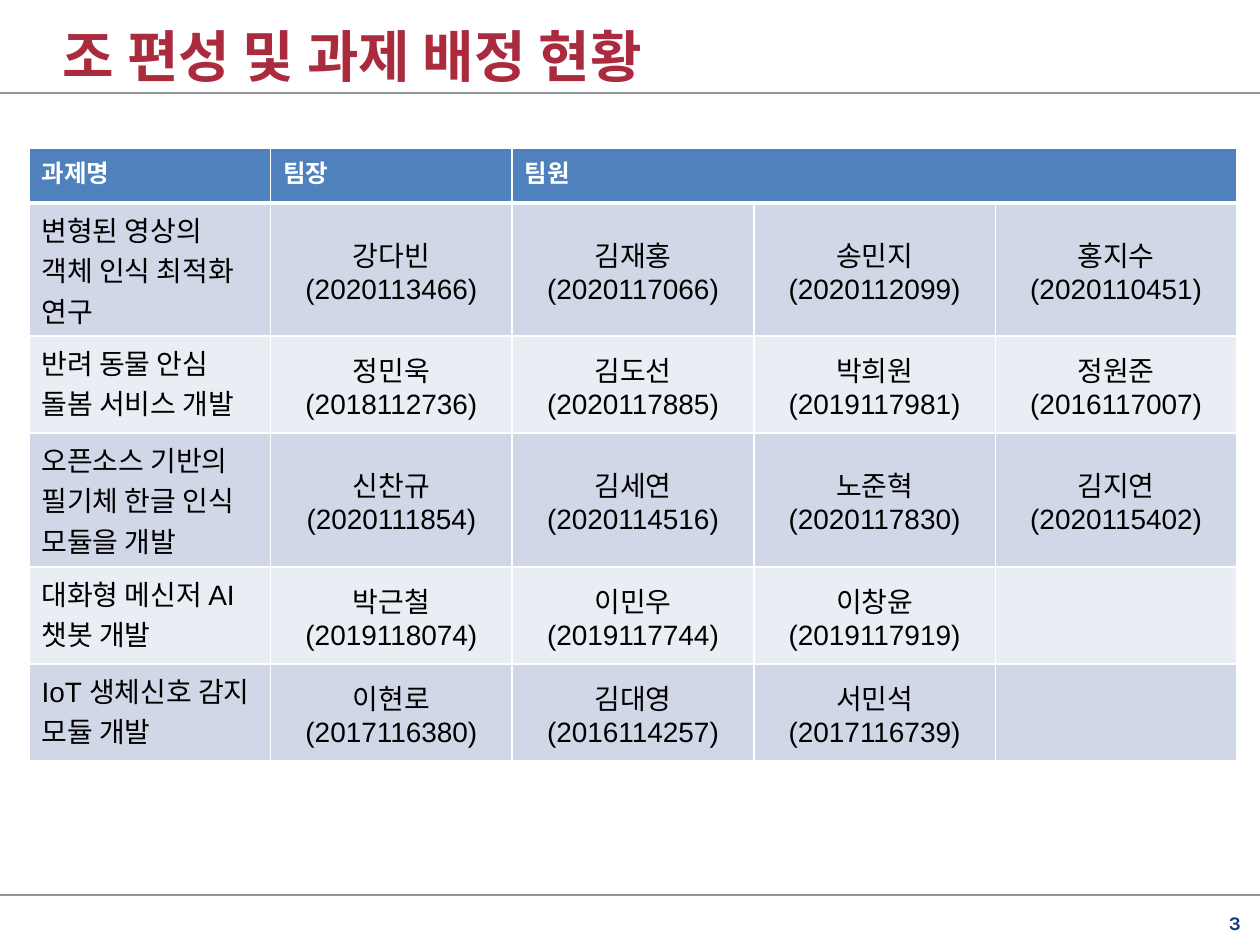
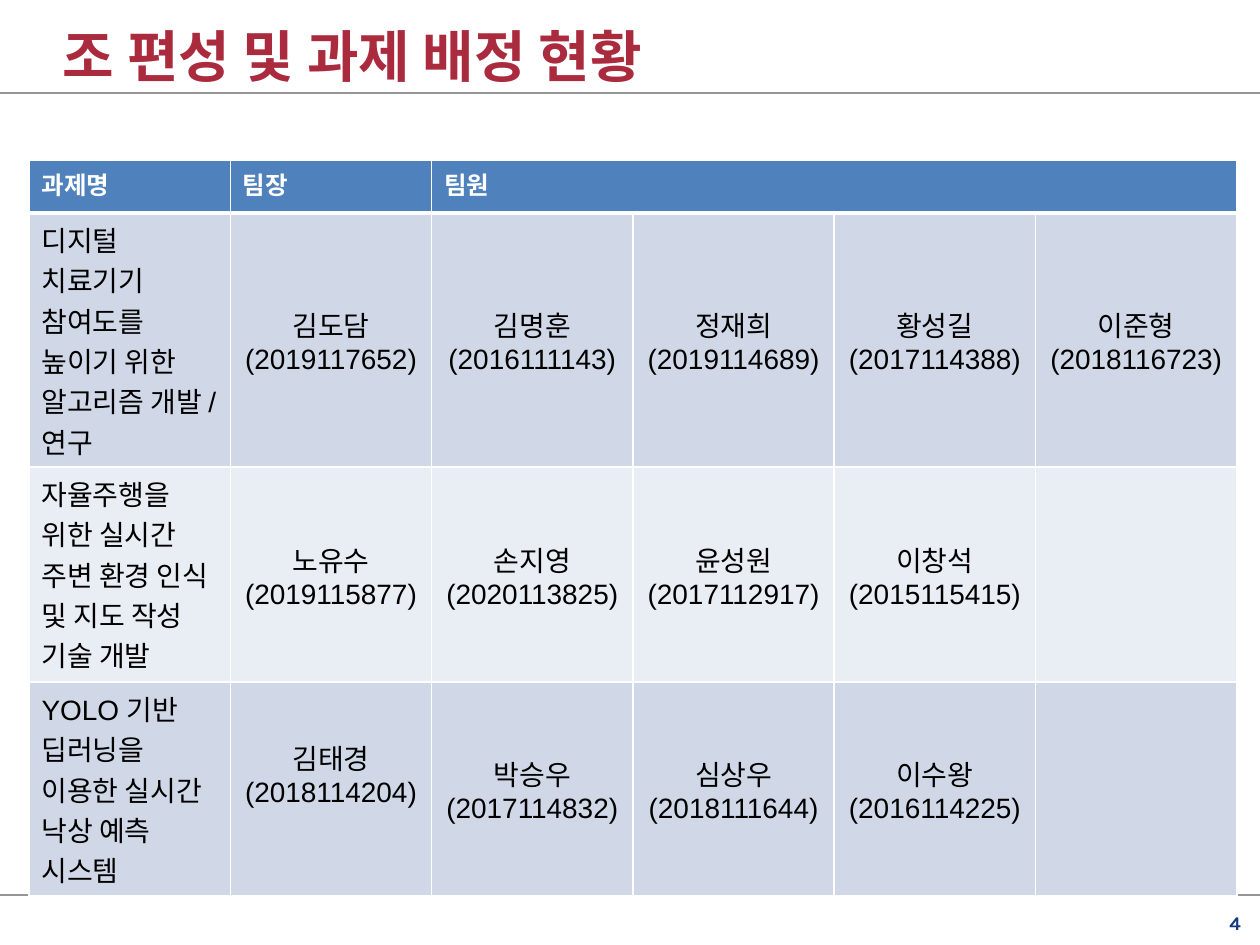
from lxml import etree
from pptx import Presentation
from pptx import util as u
from pptx.dml import color
from pptx.enum import shapes, text
from pptx.oxml import ns

# Shared look
SCALE = 914400 / 126
WIDTH, HEIGHT = 1260, 945
RED, NAVY, GREY = "AA2B3E", "14397F", "969696"
WHITE, BLACK, HEADER = "FFFFFF", "000000", "4F81BD"
BANDS = ["D0D8E8", "E9EDF4"]
TITLE = "조 편성 및 과제 배정 현황"
HEADINGS = ["과제명", "팀장", "팀원"]


def px(length):
    return u.Emu(round(length * SCALE))


def rgb(value):
    return color.RGBColor.from_string(value)


def style_text(frame, size, shade, bold=False, font="Arial", align=None):
    for para in frame.paragraphs:
        para.alignment = align
        for span in para.runs:
            span.font.size = u.Pt(size)
            span.font.name = font
            span.font.bold = bold
            span.font.color.rgb = rgb(shade)


def add_label(page, box, words, wrap=True, **style):
    frame = page.shapes.add_textbox(*map(px, box)).text_frame
    frame.margin_left = frame.margin_right = 0
    frame.margin_top = frame.margin_bottom = 0
    frame.word_wrap = wrap
    frame.vertical_anchor = text.MSO_ANCHOR.BOTTOM
    frame.text = words
    style_text(frame, **style)


def add_rule(page, y):
    rule = page.shapes.add_connector(
        shapes.MSO_CONNECTOR.STRAIGHT, 0, px(y), px(WIDTH), px(y))
    rule.line.color.rgb = rgb(GREY)
    rule.line.width = u.Pt(1)
    etree.SubElement(rule._element.spPr, ns.qn("a:effectLst"))


def add_frame(page, number):
    """Page number, the two rules and the title."""
    add_label(page, (1221, 911, 20, 23), str(number), wrap=False, size=11,
              shade=NAVY, bold=True, font="Karla", align=text.PP_ALIGN.RIGHT)
    for y in (895, 93):
        add_rule(page, y)
    add_label(page, (63, 13, 1174, 76), TITLE, size=32, shade=RED, bold=True)


def set_borders(cell, row):
    """White grid, with a thick line under the header."""
    widths = {"L": 1, "R": 1, "T": 3 if row == 1 else 1, "B": 3 if row == 0 else 1}
    properties = cell._tc.get_or_add_tcPr()
    for side, width in widths.items():
        line = etree.SubElement(properties, ns.qn(f"a:ln{side}"), w=str(u.Pt(width)))
        fill = etree.SubElement(line, ns.qn("a:solidFill"))
        etree.SubElement(fill, ns.qn("a:srgbClr"), val=WHITE)


def add_teams(page, box, heights, teams):
    """One row per project: its name, then the leader and the members."""
    left, top, width = box
    columns = max(len(members) for _, members in teams) + 1
    table = page.shapes.add_table(len(heights), columns, px(left), px(top),
                                  px(width), px(sum(heights))).table
    for column in table.columns:
        column.width = px(width / columns)
    for row, height in enumerate(heights):
        table.rows[row].height = px(height)
        for column in range(columns):
            cell = table.cell(row, column)
            set_borders(cell, row)
            cell.fill.solid()
            cell.fill.fore_color.rgb = rgb(BANDS[(row - 1) % 2] if row else HEADER)

    # Header
    table.cell(0, 2).merge(table.cell(0, columns - 1))
    for column, heading in enumerate(HEADINGS):
        cell = table.cell(0, column)
        cell.text = heading
        style_text(cell.text_frame, 14, WHITE, bold=True)

    # Projects
    for row, (project, members) in enumerate(teams, 1):
        cell = table.cell(row, 0)
        cell.text = project
        style_text(cell.text_frame, 16, BLACK)
        for column, (name, student) in enumerate(members, 1):
            cell = table.cell(row, column)
            cell.text = f"{name}\n({student})"
            cell.vertical_anchor = text.MSO_ANCHOR.MIDDLE
            style_text(cell.text_frame, 16, BLACK, align=text.PP_ALIGN.CENTER)
    return table


FIRST_TEAMS = [
    ("변형된 영상의 객체 인식 최적화 연구",
     [("강다빈", 2020113466), ("김재홍", 2020117066),
      ("송민지", 2020112099), ("홍지수", 2020110451)]),
    ("반려 동물 안심 돌봄 서비스 개발",
     [("정민욱", 2018112736), ("김도선", 2020117885),
      ("박희원", 2019117981), ("정원준", 2016117007)]),
    ("오픈소스 기반의 필기체 한글 인식 모듈을 개발",
     [("신찬규", 2020111854), ("김세연", 2020114516),
      ("노준혁", 2020117830), ("김지연", 2020115402)]),
    ("대화형 메신저 AI 챗봇 개발",
     [("박근철", 2019118074), ("이민우", 2019117744), ("이창윤", 2019117919)]),
    ("IoT 생체신호 감지 모듈 개발",
     [("이현로", 2017116380), ("김대영", 2016114257), ("서민석", 2017116739)]),
]
SECOND_TEAMS = [
    ("디지털 치료기기 참여도를 높이기 위한 알고리즘 개발 / 연구",
     [("김도담", 2019117652), ("김명훈", 2016111143), ("정재희", 2019114689),
      ("황성길", 2017114388), ("이준형", 2018116723)]),
    ("자율주행을 위한 실시간 주변 환경 인식 및 지도 작성 기술 개발",
     [("노유수", 2019115877), ("손지영", 2020113825),
      ("윤성원", 2017112917), ("이창석", 2015115415)]),
    ("YOLO 기반 딥러닝을 이용한 실시간 낙상 예측 시스템",
     [("김태경", 2018114204), ("박승우", 2017114832),
      ("심상우", 2018111644), ("이수왕", 2016114225)]),
]

deck = Presentation()
deck.slide_width, deck.slide_height = px(WIDTH), px(HEIGHT)
tables = []
for number, top, heights, teams in [
    (3, 148, [55, 133, 97, 134, 97, 97], FIRST_TEAMS),
    (4, 160, [53, 254, 215, 214], SECOND_TEAMS),
]:
    page = deck.slides.add_slide(deck.slide_layouts[6])
    add_frame(page, number)
    tables.append(add_teams(page, (29, top, 1208), heights, teams))

# The last leader sits a little above the middle of the row
tables[1].cell(3, 1).margin_bottom = px(38)
deck.save("out.pptx")
